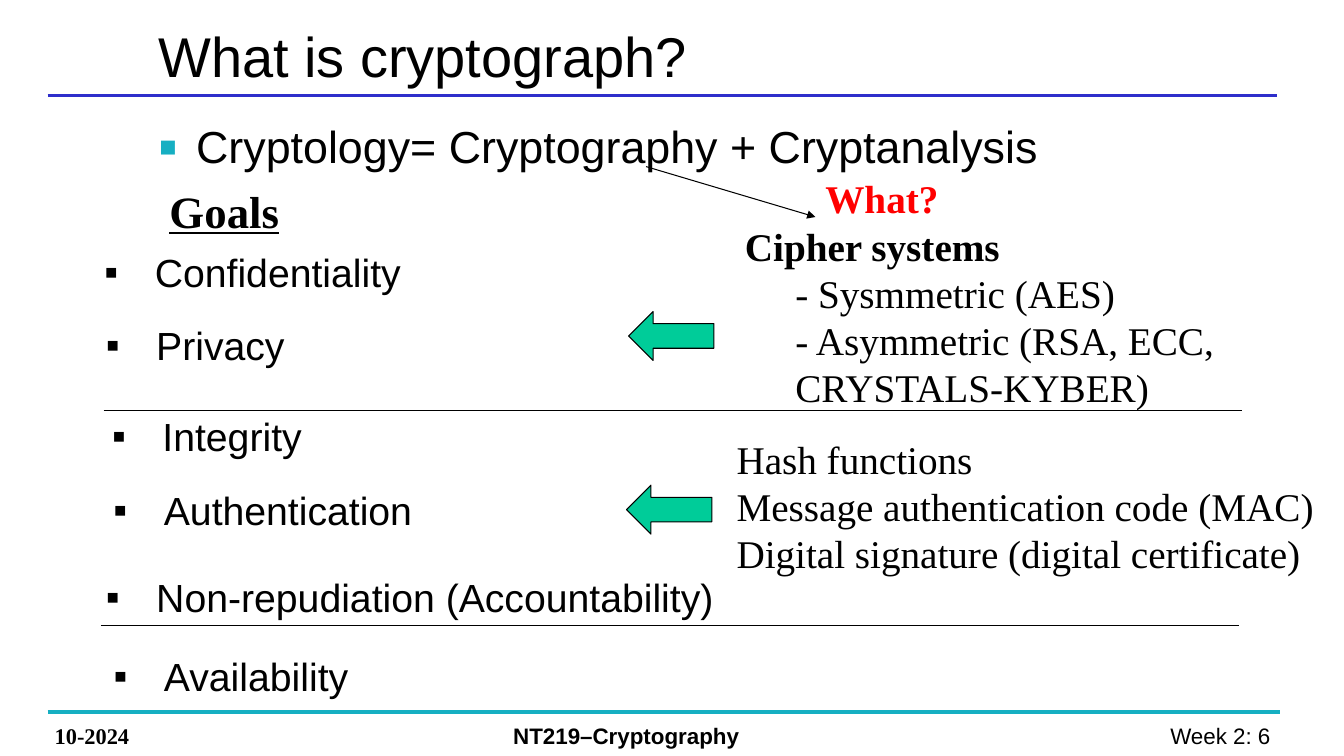
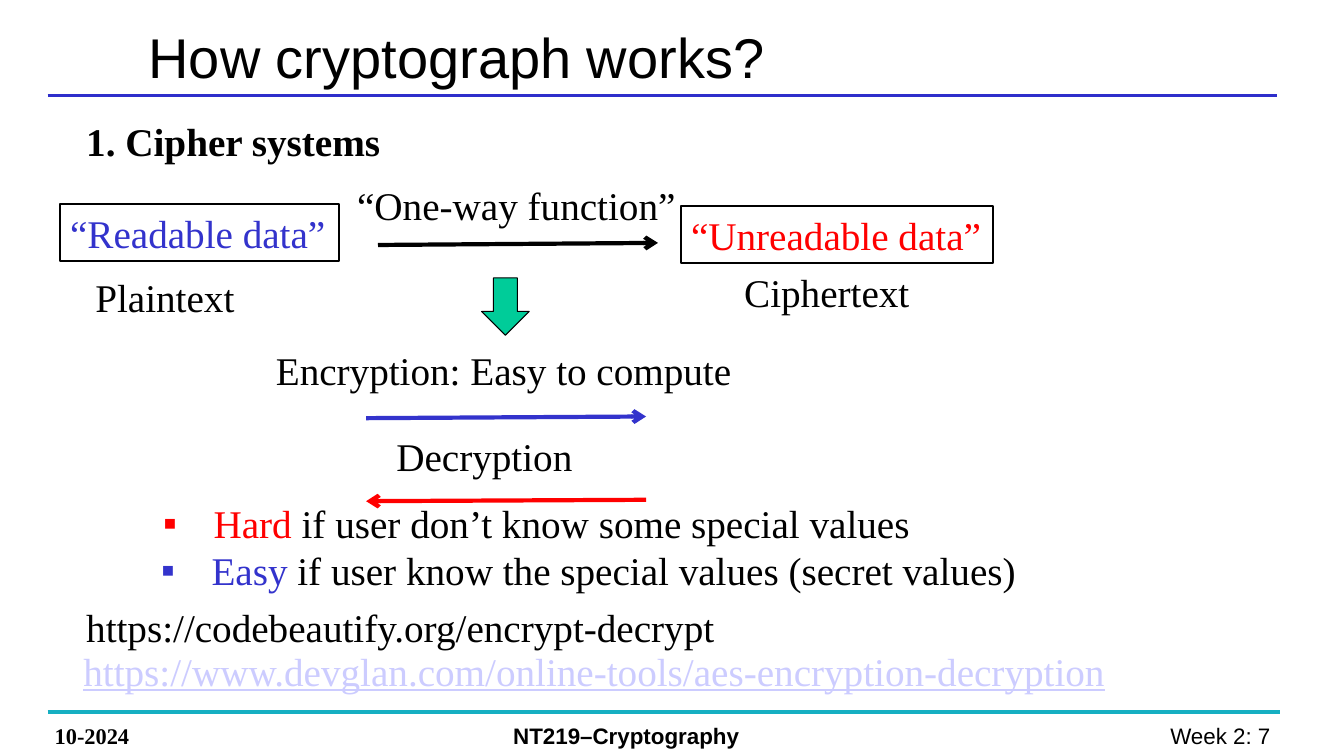
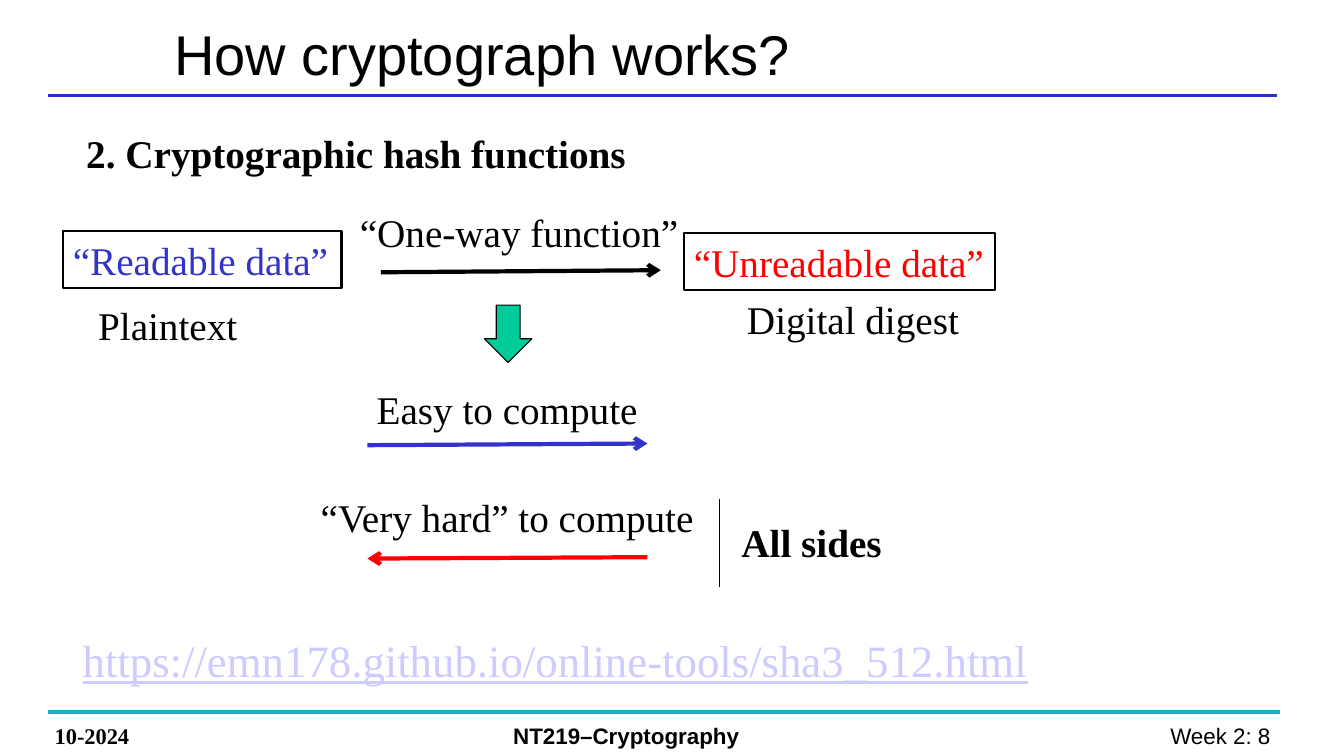
from itertools import repeat

from lxml.etree import SubElement
from pptx import Presentation
from pptx.dml.color import RGBColor
from pptx.enum.shapes import MSO_CONNECTOR, MSO_SHAPE
from pptx.enum.text import MSO_ANCHOR, MSO_AUTO_SIZE, PP_ALIGN
from pptx.oxml.ns import qn
from pptx.util import Pt

SANS = "Arial"
SERIF = "Times New Roman"
BLACK = "000000"
BLUE = "3333CC"
RED = "FF0000"
GREEN = "00CC99"
TEAL = "16AFC2"
RULE_BLUE = "2E2ECB"
LINK = "CCCCFF"

TITLE = {"name": SANS, "size": 40}
BODY = {"name": SANS, "size": 32}
GOAL = {"name": SANS, "size": 28}
NOTE = {"name": SERIF, "size": 28}
STRONG = {**NOTE, "bold": True}
HEADING = {**STRONG, "size": 32, "underline": True}
ADDRESS = {**NOTE, "color": LINK, "underline": True}
FOOTER = {"name": SANS, "size": 16}


def color(value):
    return RGBColor.from_string(value)


class Lecture:
    def __init__(self):
        self.deck = Presentation()
        self.deck.slide_width = Pt(960)
        self.deck.slide_height = Pt(540)
        self.page = None

    def new_page(self, title, left, top, number):
        self.page = self.deck.slides.add_slide(self.deck.slide_layouts[6])
        self.line((34, 68.5), (912, 68.5), RULE_BLUE, 2.25)
        self.line((34, 508.5), (914, 508.5), TEAL, 3)
        self.text(32, 512, "10-2024", {**FOOTER, "name": SERIF, "bold": True}, 128)
        self.text(359.5, 512, "NT219–Cryptography", {**FOOTER, "bold": True}, 348)
        week = self.text(707, 512.5, f"Week 2: {number} ", FOOTER, 212)
        week.text_frame.paragraphs[0].alignment = PP_ALIGN.RIGHT
        heading = self.text(left, top, title, TITLE, 524, height=62.5)
        heading.text_frame.vertical_anchor = MSO_ANCHOR.MIDDLE

    def span(self, para, words, style):
        span = para.add_run()
        span.text = words
        values = {"color": BLACK, **style}
        span.font.color.rgb = color(values.pop("color"))
        values["size"] = Pt(values["size"])
        for name, value in values.items():
            setattr(span.font, name, value)

    def indent(self, para, left, first=0):
        properties = para._p.get_or_add_pPr()
        properties.set("marL", str(Pt(left)))
        properties.set("indent", str(Pt(first)))
        return properties

    def bullet(self, para, left, tint=None, percent=100):
        properties = self.indent(para, left, -left)
        if tint:
            holder = SubElement(properties, qn("a:buClr"))
            SubElement(holder, qn("a:srgbClr"), val=tint)
        SubElement(properties, qn("a:buSzPct"), val=str(percent * 1000))
        SubElement(properties, qn("a:buFont"), typeface=SANS)
        SubElement(properties, qn("a:buChar"), char="▪")

    def fill_text(self, box, content, style, wrap, indents=None, bullet=None):
        frame = box.text_frame
        frame.word_wrap = wrap
        frame.auto_size = MSO_AUTO_SIZE.SHAPE_TO_FIT_TEXT
        paragraphs = [content] if isinstance(content, str) else content
        for index, (spans, left) in enumerate(zip(paragraphs, indents or repeat(0))):
            para = frame.add_paragraph() if index else frame.paragraphs[0]
            para.alignment = PP_ALIGN.LEFT
            if left:
                self.indent(para, left)
            if bullet:
                self.bullet(para, **bullet)
            for words, changes in [(spans, {})] if isinstance(spans, str) else spans:
                self.span(para, words, {**style, **changes})

    def text(self, left, top, content, style, width, height=None, wrap=True, **layout):
        height = height or style["size"] * 1.2 + 7.4
        box = self.page.shapes.add_textbox(Pt(left), Pt(top), Pt(width), Pt(height))
        self.fill_text(box, content, style, wrap, **layout)
        if height > 60:
            box.text_frame.auto_size = MSO_AUTO_SIZE.NONE
        return box

    def label(self, left, top, content, width, style=NOTE, **layout):
        return self.text(left, top, content, style, width, wrap=False, **layout)

    def shape(self, kind, left, top, width, height, outline):
        shape = self.page.shapes.add_shape(kind, Pt(left), Pt(top), Pt(width), Pt(height))
        shape.shadow.inherit = False
        shape.line.color.rgb = color(BLACK)
        shape.line.width = Pt(outline)
        return shape

    def frame(self, left, top, words, width, tint):
        box = self.shape(MSO_SHAPE.RECTANGLE, left, top, width, 41, 1.5)
        box.fill.background()
        self.fill_text(box, words, {**NOTE, "color": tint}, False)

    def block_arrow(self, kind, left, top, width, height):
        arrow = self.shape(kind, left, top, width, height, 0.75)
        arrow.fill.solid()
        arrow.fill.fore_color.rgb = color(GREEN)

    def line(self, start, end, tint=BLACK, width=0.75, arrow=None):
        line = self.page.shapes.add_connector(
            MSO_CONNECTOR.STRAIGHT, *map(Pt, start), *map(Pt, end))
        line.line.color.rgb = color(tint)
        line.line.width = Pt(width)
        if arrow:
            SubElement(line.get_or_add_ln(), qn("a:tailEnd"), type=arrow)
        SubElement(line._element.spPr, qn("a:effectLst"))

    def one_way_flow(self, left, top, result, result_width):
        self.frame(left, top, "“Readable data”", 199, BLUE)
        self.frame(left + 443.5, top + 1.5, "“Unreadable data”", 222.5, RED)
        self.label(left + 18, top + 46.5, "Plaintext", 115)
        self.label(left + 205, top - 19.5, "“One-way function”", 243.5)
        self.label(left + 481.5, top + 42.5, result, result_width)
        self.line((left + 227, top + 29.5), (left + 427, top + 28), BLACK, 3, "arrow")
        self.block_arrow(MSO_SHAPE.DOWN_ARROW, left + 301, top + 53, 34, 41)

    def directions(self, left, forward, backward):
        right = left + 200
        self.line((left, forward), (right, forward - 1.2), BLUE, 3, "arrow")
        self.line((right, backward - 1), (left, backward), RED, 3, "arrow")


def goals_page(lecture):
    lecture.new_page("What is cryptograph?", 106, 8, 6)
    lecture.text(106, 81.5, "Cryptology= Cryptography + Cryptanalysis", BODY, 646,
                 height=391, bullet={"left": 27, "tint": TEAL, "percent": 125})
    lecture.line((461.5, 119), (582.5, 155), arrow="triangle")
    goals = [
        ("Confidentiality", 67.5, 174, 229),
        ("Privacy", 68.5, 226, 144),
        ("Integrity", 73, 291, 152),
        ("Authentication", 74, 344, 230.5),
        ("Non-repudiation (Accountability)", 68.5, 406, 456),
        ("Availability", 74, 462.5, 184.5),
    ]
    for goal, left, top, width in goals:
        lecture.label(left, top, goal, width, GOAL, bullet={"left": 36})
    lecture.label(114, 127.5, "Goals", 93.5, HEADING)
    lecture.label(582.5, 121, "What?", 96.5, {**STRONG, "color": RED})
    ciphers = [[("Cipher systems", {"bold": True})], "- Sysmmetric (AES)",
               "- Asymmetric (RSA, ECC, CRYSTALS-KYBER)"]
    lecture.text(525, 155, ciphers, NOTE, 428.5, indents=(0, 36, 36))
    proofs = ["Hash functions", "Message authentication code (MAC)",
              "Digital signature (digital certificate)"]
    lecture.text(519, 307.5, proofs, NOTE, 456)
    for left, top in ((449, 222.5), (447.5, 346.5)):
        lecture.block_arrow(MSO_SHAPE.LEFT_ARROW, left, top, 61, 35)
    for left, top in ((74, 293), (72, 447)):
        lecture.line((left, top), (left + 813, top))


def cipher_page(lecture):
    lecture.new_page("How cryptograph works?", 99, 8.5, 7)
    lecture.text(54.5, 80, "1. Cipher systems", STRONG, 446)
    lecture.one_way_flow(43, 145.5, "Ciphertext", 134)
    lecture.directions(261.5, 298.7, 358)
    lecture.label(190, 243.5, "Encryption: Easy to compute", 343.5)
    lecture.label(276, 305.5, "Decryption", 142)
    cases = [
        (109.5, 353, 560, RED, "Hard", " if user don’t know some special values"),
        (108, 387, 638, BLUE, "Easy", " if user know the special values (secret values)"),
    ]
    for left, top, width, tint, lead, rest in cases:
        spans = [(lead, {"color": tint}), (rest, {})]
        lecture.label(left, top, [spans], width, bullet={"left": 36})
    lecture.text(54.5, 427.5, "https://codebeautify.org/encrypt-decrypt", NOTE, 525.5)
    lecture.text(52.5, 458.5,
                 "https://www.devglan.com/online-tools/aes-encryption-decryption",
                 ADDRESS, 770.5)


def hash_page(lecture):
    lecture.new_page("How cryptograph works?", 117.5, 7, 8)
    lecture.text(54.5, 88.5, "2. Cryptographic hash functions", STRONG, 544.5)
    lecture.one_way_flow(45, 165, "Digital digest", 174)
    lecture.directions(262.5, 318, 399)
    lecture.label(262, 271.5, "Easy to compute", 203)
    lecture.label(222, 349, "“Very hard” to compute", 283.5)
    lecture.line((514, 356.5), (514, 419))
    lecture.label(522.5, 367, "All sides", 116, STRONG)
    lecture.text(52, 448.5, "https://emn178.github.io/online-tools/sha3_512.html",
                 {**ADDRESS, "size": 32}, 778.5)


def main():
    lecture = Lecture()
    for build in (goals_page, cipher_page, hash_page):
        build(lecture)
    lecture.deck.save("out.pptx")


if __name__ == "__main__":
    main()
